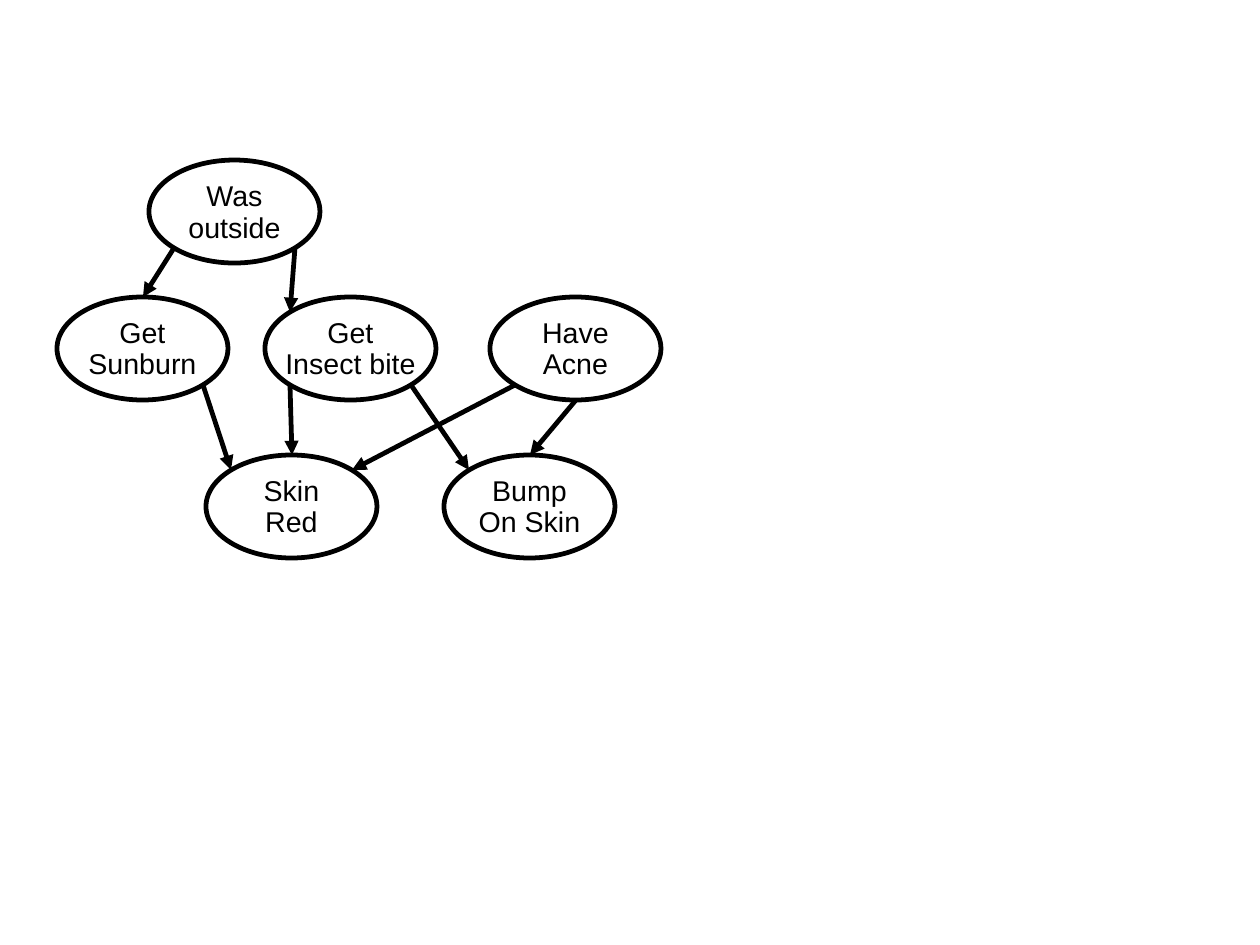
from lxml import etree
from pptx import Presentation
from pptx import util as u
from pptx.dml.color import RGBColor
from pptx.enum import shapes, text
from pptx.oxml.ns import qn

PX = 8000
WIDE, HIGH = 171, 103
INK = {"black": "000000"}
ROWS = {"cause": 160, "event": 297, "sign": 455}
NODES = {
    "out": (149, "cause", "Was\noutside"),
    "burn": (57, "event", "Get\nSunburn"),
    "bite": (265, "event", "Get\nInsect bite"),
    "acne": (490, "event", "Have\nAcne"),
    "red": (206, "sign", "Skin\nRed"),
    "bump": (444, "sign", "Bump\nOn Skin"),
}
SITES = {
    "top": (86, 0), "top left": (25, 15), "top right": (146, 15),
    "low": (86, 103), "low left": (25, 88), "low right": (146, 88),
}
LINKS = [
    ("out", "low left", "burn", "top"),
    ("out", "low right", "bite", "top left"),
    ("burn", "low right", "red", "top left"),
    ("bite", "low left", "red", "top"),
    ("bite", "low right", "bump", "top left"),
    ("acne", "low", "bump", "top"),
    ("acne", "low left", "red", "top right"),
]


def px(*nums):
    return [u.Emu(num * PX) for num in nums]


def color(name):
    return RGBColor.from_string(INK[name])


def stroke(line, ink="black", width=3):
    line.color.rgb = color(ink)
    line.width = u.Pt(width)


def write(frame, words, size=18, font="Arial", ink="black", space=0.93):
    frame.word_wrap = False
    frame.vertical_anchor = text.MSO_ANCHOR.MIDDLE
    frame.margin_left, frame.margin_top, frame.margin_right, frame.margin_bottom = px(14, 10, 14, 8)
    frame.text = words
    for para in frame.paragraphs:
        para.alignment = text.PP_ALIGN.CENTER
        para.line_spacing = space
        for run in para.runs:
            run.font.size = u.Pt(size)
            run.font.name = font
            run.font.color.rgb = color(ink)


def node(slide, left, row, words):
    oval = slide.shapes.add_shape(
        shapes.MSO_SHAPE.OVAL, *px(left, ROWS[row], WIDE, HIGH))
    oval.shadow.inherit = False
    oval.fill.background()
    stroke(oval.line)
    write(oval.text_frame, words)


def point(name, site):
    left, row, _ = NODES[name]
    right, down = SITES[site]
    return px(left + right, ROWS[row] + down)


def arrow(slide, start, exit, end, entry):
    link = slide.shapes.add_connector(
        shapes.MSO_CONNECTOR.STRAIGHT, *point(start, exit), *point(end, entry))
    stroke(link.line)
    props = link.element.spPr
    etree.SubElement(props.find(qn("a:ln")), qn("a:tailEnd"), type="triangle")
    etree.SubElement(props, qn("a:effectLst"))


def main():
    deck = Presentation()
    deck.slide_width, deck.slide_height = px(1260, 945)
    slide = deck.slides.add_slide(deck.slide_layouts[6])
    for item in NODES.values():
        node(slide, *item)
    for link in LINKS:
        arrow(slide, *link)
    deck.save("out.pptx")


if __name__ == "__main__":
    main()
